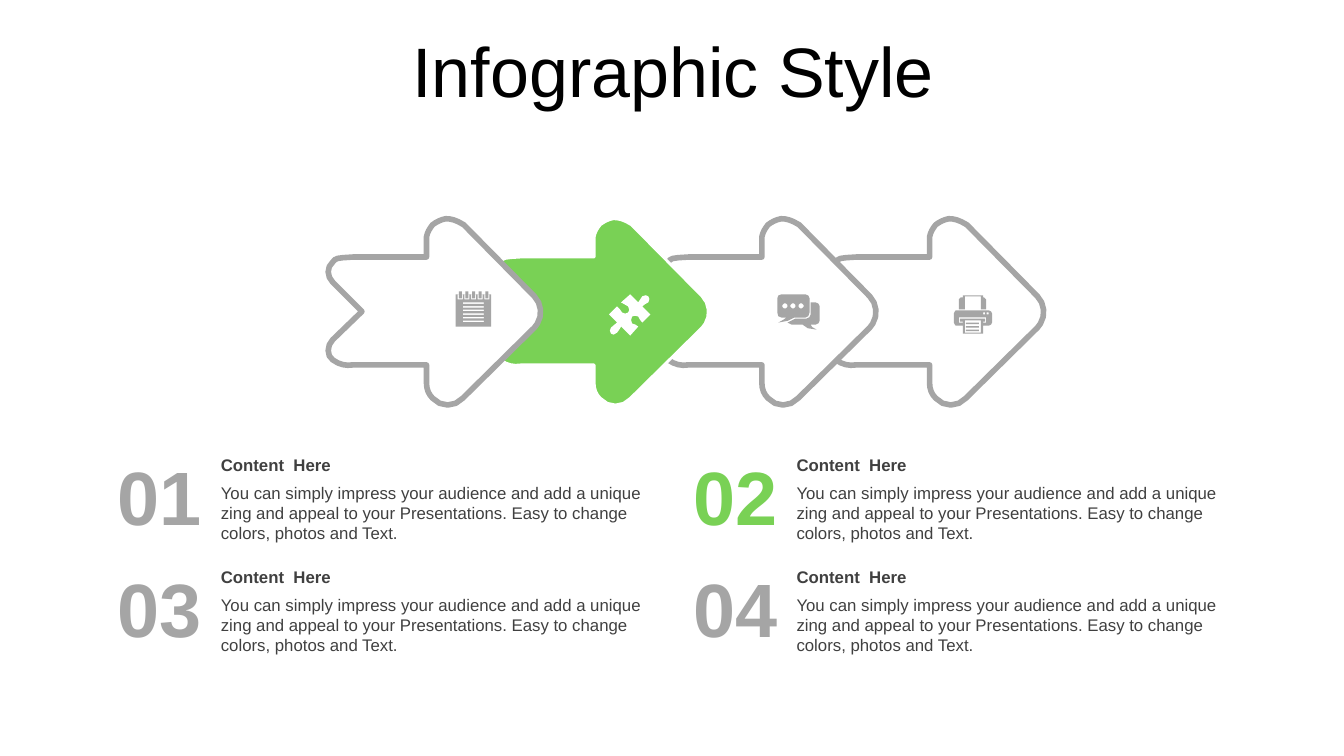
"""Build the Infographic Style slide: four chained arrows and four notes."""
from pptx import Presentation
from pptx.dml.color import RGBColor
from pptx.enum import text
from pptx.util import Inches, Pt

GREY, GREEN, WHITE, INK, BLACK = "A5A5A5", "79D155", "FFFFFF", "404040", "000000"
HEADING = "Content  Here"
DETAIL = ("You can simply impress your audience and add a unique zing and appeal "
          "to your Presentations. Easy to change colors, photos and Text.")

ARROW = """M 4.42 2.17 C 4.47 2.17 4.52 2.18 4.6 2.23
L 5.3 2.94 C 5.37 3.01 5.38 3.13 5.33 3.21 L 5.3 3.25 4.59 3.95
C 4.51 4.04 4.37 4.04 4.29 3.95 4.25 3.91 4.23 3.86 4.23 3.8 L 4.23 3.62 3.5 3.62
C 3.43 3.63 3.37 3.62 3.3 3.57 3.24 3.53 3.24 3.43 3.3 3.37 L 3.59 3.09 3.3 2.8
C 3.24 2.74 3.24 2.65 3.3 2.6 3.33 2.56 3.33 2.56 3.5 2.55 L 4.23 2.55 4.23 2.35
C 4.24 2.3 4.26 2.27 4.29 2.23 4.33 2.2 4.37 2.18 4.42 2.17"""

PUZZLE = """M 6.43 2.94 C 6.44 2.95 6.45 2.98 6.43 3 6.41 3.02 6.39 3.01 6.37 3.04
L 6.45 3.12 6.37 3.2 C 6.34 3.18 6.35 3.16 6.33 3.14 6.31 3.13 6.28 3.13 6.27 3.14
6.26 3.16 6.25 3.19 6.27 3.21 6.3 3.23 6.31 3.21 6.33 3.24 L 6.25 3.33 6.16 3.24
C 6.13 3.27 6.15 3.28 6.12 3.3 6.1 3.33 6.07 3.32 6.06 3.31 6.05 3.29 6.04 3.27 6.06 3.25
6.08 3.22 6.1 3.23 6.12 3.2 L 6.04 3.12 6.12 3.04 C 6.16 3.06 6.14 3.08 6.17 3.1
6.19 3.12 6.21 3.11 6.23 3.1 6.24 3.09 6.25 3.06 6.23 3.04 6.2 3.01 6.19 3.03 6.16 3
L 6.25 2.92 6.33 3 C 6.36 2.97 6.34 2.97 6.37 2.94 6.39 2.92 6.42 2.93 6.43 2.94"""

BUBBLES = """M 8.04 3 L 8.09 3 C 8.11 3 8.13 3.02 8.13 3.04 L 8.13 3.18
C 8.13 3.2 8.11 3.22 8.09 3.22 L 8.04 3.22 C 8.05 3.24 8.05 3.25 8.1 3.27
8.01 3.26 8 3.26 7.96 3.22 L 7.85 3.22 7.81 3.2 7.89 3.16 8 3.16
C 8.02 3.16 8.04 3.14 8.04 3.12
M 7.75 2.92 L 7.99 2.92 C 8.01 2.92 8.03 2.94 8.03 2.96 L 8.03 3.1
C 8.03 3.13 8.01 3.15 7.99 3.15 L 7.88 3.15 C 7.83 3.18 7.81 3.19 7.72 3.2
7.77 3.17 7.78 3.17 7.8 3.15 L 7.75 3.15 C 7.72 3.15 7.71 3.13 7.71 3.1
L 7.71 2.96 C 7.71 2.94 7.72 2.92 7.75 2.92"""

PRINTER = """M 9.51 3.15 L 9.51 3.2 9.55 3.2 9.55 3.19 9.52 3.19 9.52 3.16 9.77 3.16
9.77 3.19 9.75 3.19 9.75 3.2 9.78 3.2 9.78 3.15
M 9.48 3.08 L 9.81 3.08 9.83 3.09 9.84 3.11 9.84 3.2 9.83 3.22 9.81 3.23
9.75 3.23 9.75 3.31 9.55 3.31 9.55 3.23 9.48 3.23 9.47 3.22 9.46 3.2 9.46 3.11 9.47 3.09
M 9.55 2.93 L 9.75 2.93 9.75 2.95 9.76 2.95 9.78 2.97
9.78 3.07 9.73 3.07 9.73 2.94 9.57 2.94 9.57 3.07 9.51 3.07 9.51 2.97 9.53 2.95 9.55 2.95"""


def color(value):
    """Turn a hex string into a colour."""
    return RGBColor.from_string(value)


def bezier(start, a, b, end, steps):
    """Sample a cubic curve, leaving out its start."""
    for t in (step / steps for step in range(1, steps + 1)):
        s = 1 - t
        yield tuple(s**3 * p + 3 * s * s * t * q + 3 * s * t * t * r + t**3 * e
                    for p, q, r, e in zip(start, a, b, end))


def trace(outline, steps=2):
    """Turn outline commands into a list of closed contours."""
    contours, command, numbers = [], "", []
    for token in outline.split():
        if token.isalpha():
            command = token
            continue
        numbers.append(float(token))
        if len(numbers) < (6 if command == "C" else 2):
            continue
        points = list(zip(numbers[::2], numbers[1::2]))
        numbers = []
        if command == "M":
            contours.append(points)
        elif command == "L":
            contours[-1].extend(points)
        else:
            contours[-1].extend(bezier(contours[-1][-1], *points, steps))
    return contours


def box(left, top, width, height, cut=0):
    """Give the contour of a box, with its corners cut if asked."""
    right, bottom = left + width, top + height
    if not cut:
        return [(left, top), (right, top), (right, bottom), (left, bottom)]
    return [(left + cut, top), (right - cut, top), (right, top + cut),
            (right, bottom - cut), (right - cut, bottom), (left + cut, bottom),
            (left, bottom - cut), (left, top + cut)]


def draw(slide, contours, fill, line=None, width=0, shift=0):
    """Draw contours as one filled outline."""
    scaled = [[(Inches(x + shift), Inches(y)) for x, y in contour] for contour in contours]
    builder = slide.shapes.build_freeform(*scaled[0][0])
    for index, contour in enumerate(scaled):
        if index:
            builder.move_to(*contour[0])
        builder.add_line_segments(contour[1:], close=True)
    figure = builder.convert_to_shape()
    figure.shadow.inherit = False
    figure.fill.solid()
    figure.fill.fore_color.rgb = color(fill)
    if line:
        figure.line.color.rgb = color(line)
        figure.line.width = Pt(width)
    else:
        figure.line.fill.background()


def write(shapes, place, words, size, ink, margins, bold=False, spacing=None,
          align=text.PP_ALIGN.LEFT, anchor=text.MSO_ANCHOR.MIDDLE,
          fit=text.MSO_AUTO_SIZE.SHAPE_TO_FIT_TEXT):
    """Write one paragraph in a text box."""
    frame = shapes.add_textbox(*map(Inches, place)).text_frame
    sides = ("margin_left", "margin_top", "margin_right", "margin_bottom")
    look = dict(zip(sides, map(Inches, margins)),
                word_wrap=True, auto_size=fit, vertical_anchor=anchor)
    paragraph = frame.paragraphs[0]
    run = paragraph.add_run()
    run.text = words
    run.font.color.rgb = color(ink)
    for target, values in (
            (frame, look),
            (paragraph, {"alignment": align, "line_spacing": spacing}),
            (run.font, {"name": "Arial", "size": Pt(size), "bold": bold})):
        for key, value in values.items():
            setattr(target, key, value)


def add_arrows(slide):
    """Chain the arrows, the first one in front."""
    for index in reversed(range(4)):
        look = (GREEN, WHITE, 2) if index == 1 else (WHITE, GREY, 4)
        draw(slide, trace(ARROW, 4), *look, shift=index * 4.99 / 3)


def add_icons(slide):
    """Draw the notepad, puzzle, chat and printer icons."""
    notepad = [box(4.52, 2.92, 0.35, 0.32)]
    notepad += [box(4.59, 3 + row * 0.036, 0.21, 0.015) for row in range(6)]
    for ring in range(5):
        center = 4.565 + ring * 0.066
        notepad.append(box(center - 0.025, 2.92, 0.05, 0.05))
        notepad.append(box(center - 0.015, 2.89, 0.03, 0.07))
    dots = [box(7.76 + dot * 0.08, 3.01, 0.05, 0.05, 0.015) for dot in range(3)]
    paper = [box(9.57, 3.18, 0.16, 0.12)]
    paper += [box(9.58, 3.2 + row * 0.035, 0.13, 0.015) for row in range(3)]
    lights = [box(x, 3.1, 0.02, 0.02) for x in (9.75, 9.785)]
    draw(slide, notepad, GREY)
    draw(slide, trace(PRINTER) + paper + lights, GREY)
    draw(slide, trace(PUZZLE), WHITE)
    draw(slide, trace(BUBBLES) + dots, GREY)


def add_note(slide, index):
    """Add a number with its heading and detail."""
    row, column = divmod(index, 2)
    left, top = 1.06 + column * 5.71, 4.46 + row * 1.11
    margins = (0, 0.05, 0.1, 0.05)
    note = slide.shapes.add_group_shape().shapes
    write(note, (left + 1.13, top, 4.45, 0.3), HEADING, 12, INK, margins, bold=True)
    write(note, (left + 1.13, top + 0.28, 4.45, 0.7), DETAIL, 12, INK, margins,
          anchor=text.MSO_ANCHOR.TOP)
    write(slide.shapes, (left, top, 0.94, 0.9), f"{index + 1:02}", 54,
          GREEN if index == 1 else GREY, (0, 0, 0, 0), bold=True,
          align=text.PP_ALIGN.RIGHT)


def main():
    """Build and save the slide."""
    deck = Presentation()
    deck.slide_width, deck.slide_height = Inches(13.33), Inches(7.5)
    slide = deck.slides.add_slide(deck.slide_layouts[6])
    write(slide.shapes, (0.35, 0.37, 12.66, 0.79), "Infographic Style", 50, BLACK,
          (0.1, 0.1, 0.1, 0.05), spacing=0.7, align=text.PP_ALIGN.CENTER,
          fit=text.MSO_AUTO_SIZE.NONE)
    add_arrows(slide)
    for index in range(4):
        add_note(slide, index)
    add_icons(slide)
    deck.save("out.pptx")


if __name__ == "__main__":
    main()
